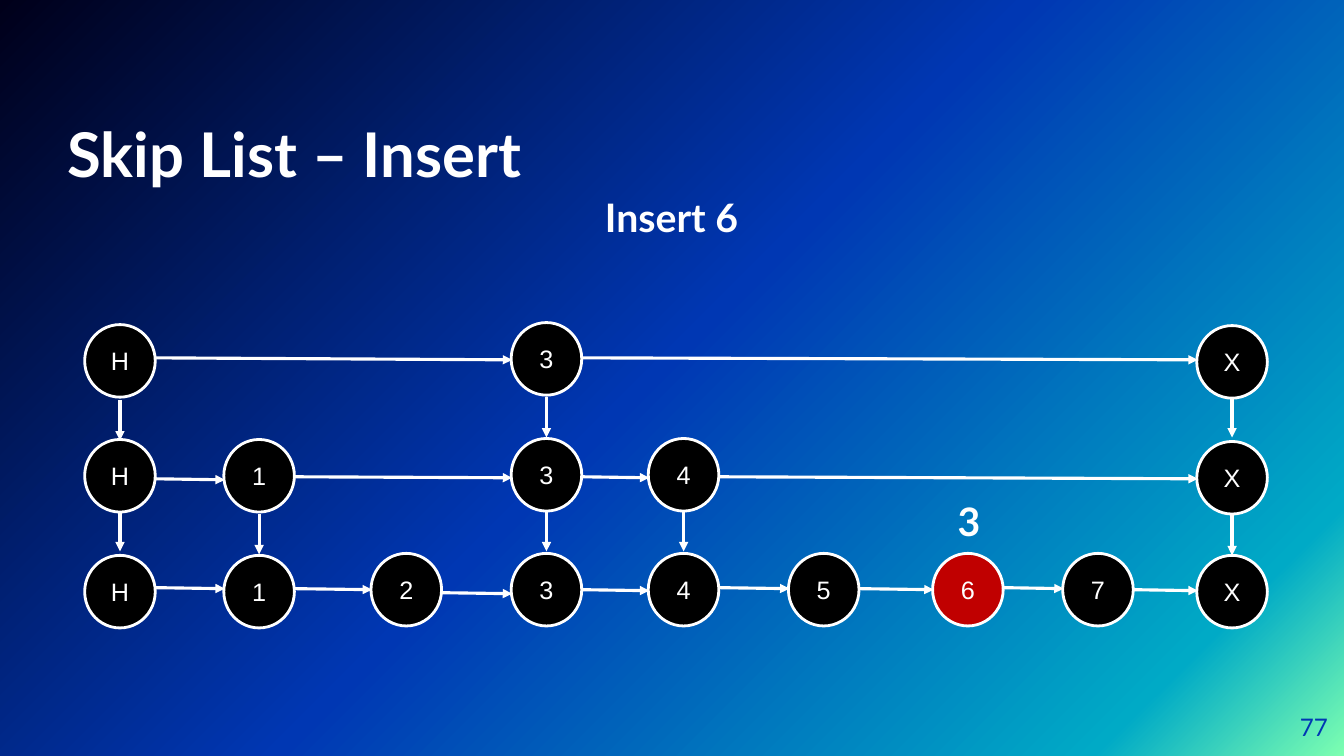
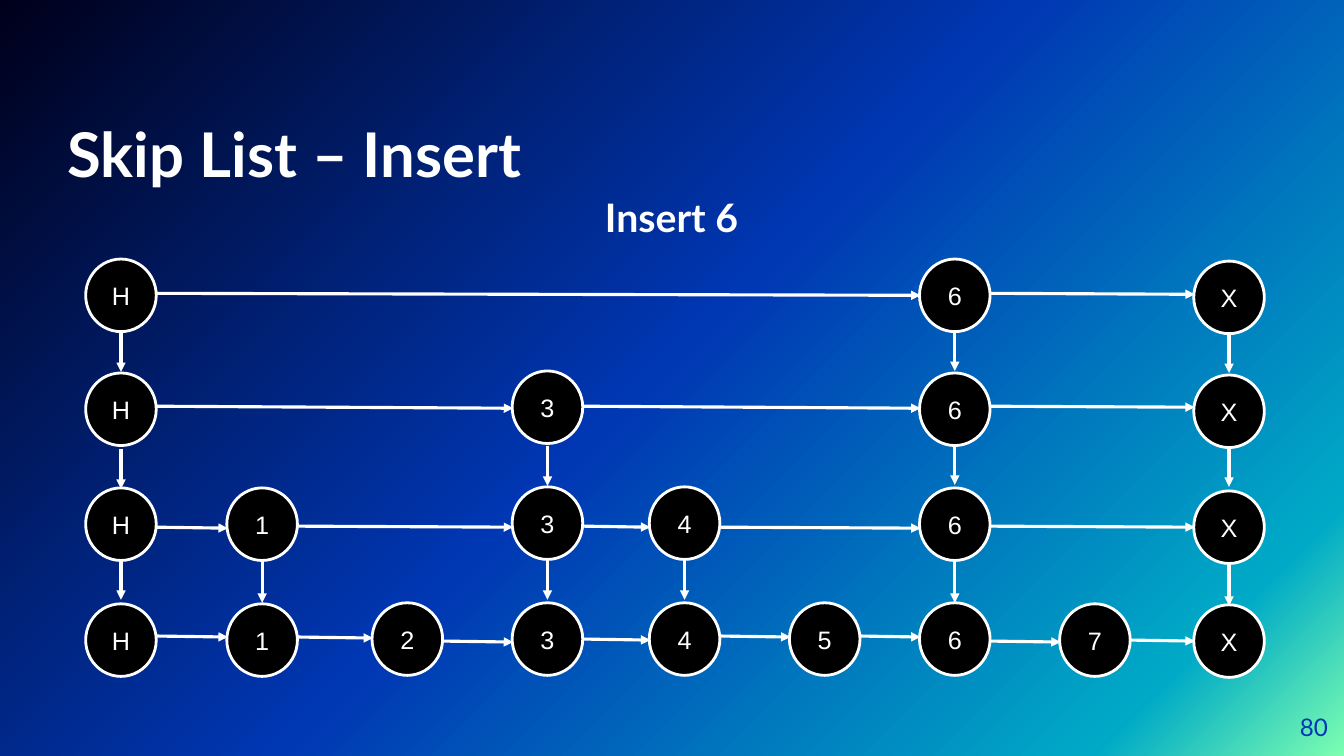
from dataclasses import dataclass

import pptx
import pptx.dml.color
import pptx.enum.shapes
import pptx.enum.text
import pptx.oxml
import pptx.oxml.ns
import pptx.presentation
import pptx.slide
import pptx.util

Inches = pptx.util.Inches
RGBColor = pptx.dml.color.RGBColor
Align = pptx.enum.text.PP_ALIGN
Anchor = pptx.enum.text.MSO_ANCHOR

# Shared style
WHITE = RGBColor(0xFF, 0xFF, 0xFF)
BLACK = RGBColor(0x00, 0x00, 0x00)
RED = RGBColor(0xC0, 0x00, 0x00)
BLUE = RGBColor(0x00, 0x37, 0xB3)
BACKGROUND_STOPS = (
    (0, RGBColor(0x7D, 0xFF, 0xB1)),
    (12, RGBColor(0x00, 0xAA, 0xC6)),
    (51, BLUE),
    (100, RGBColor(0x00, 0x00, 0x1A)),
)
BACKGROUND_ANGLE = 225
HEADING_FONT = "Lato"
NODE_FONT = "Arial"
NODE_WIDTH, NODE_HEIGHT = 0.7, 0.72
DROP_LENGTH = 0.4
ARROW_OVERLAP = 0.01


@dataclass(frozen=True)
class Tower:
    """One key of the skip list; its levels run from the bottom up."""
    label: str
    left: float
    tops: tuple[float, ...]
    exits: tuple[float, ...] = ()  # heights where the arrows to the right start
    drops: tuple[float, ...] = ()  # heights where the arrows down start
    fill: RGBColor = BLACK


@dataclass(frozen=True)
class Label:
    text: str
    left: float
    top: float
    width: float
    height: float
    size: float
    color: RGBColor = WHITE
    bold: bool = True
    align: Align = Align.CENTER
    anchor: Anchor = Anchor.TOP
    inset: bool = True


@dataclass(frozen=True)
class SkipListSlide:
    number: str
    towers: tuple[Tower, ...]
    extra_labels: tuple[Label, ...] = ()


TITLE = Label("Skip List – Insert", 0.67, 0.63, 8.79, 1.25, 44,
              align=Align.LEFT, anchor=Anchor.BOTTOM, inset=False)
OPERATION = Label("Insert 6", 4.96, 1.87, 3.4, 0.57, 28)

SLIDES = (
    SkipListSlide("77", (
        Tower("H", 0.84, (5.51, 4.36, 3.22), (5.83, 4.75, 3.55), (5.07, 3.97)),
        Tower("1", 2.22, (5.51, 4.36), (5.84, 4.73), (5.1,)),
        Tower("2", 3.68, (5.49,), (5.88,)),
        Tower("3", 5.07, (5.49, 4.35, 3.2), (5.85, 4.73, 3.55), (5.07, 3.94)),
        Tower("4", 6.43, (5.49, 4.35), (5.83, 4.73), (5.07,)),
        Tower("5", 7.82, (5.49,), (5.84,)),
        Tower("6", 9.25, (5.49,), (5.83,), fill=RED),
        Tower("7", 10.54, (5.49,), (5.85,)),
        Tower("X", 11.87, (5.51, 4.38, 3.23), drops=(5.11, 3.94)),
    ), (Label("3", 7.7, 4.88, 3.82, 0.57, 28),)),
    SkipListSlide("80", (
        Tower("H", 0.85, (5.99, 4.84, 3.7, 2.57), (6.31, 5.23, 4.03, 2.91),
              (5.55, 4.45, 3.29)),
        Tower("1", 2.25, (5.99, 4.84), (6.32, 5.22), (5.58,)),
        Tower("2", 3.69, (5.98,), (6.36,)),
        Tower("3", 5.08, (5.98, 4.83, 3.68), (6.34, 5.22, 4.03), (5.55, 4.42)),
        Tower("4", 6.44, (5.98, 4.83), (6.31, 5.23), (5.55,)),
        Tower("5", 7.83, (5.98,), (6.31,)),
        Tower("6", 9.12, (5.98, 4.84, 3.7, 2.57), (6.36, 5.22, 4.03, 2.91),
              (5.58, 4.41, 3.28)),
        Tower("7", 10.51, (5.99,), (6.35,)),
        Tower("X", 11.84, (6, 4.87, 3.72, 2.59), drops=(5.61, 4.43, 3.3)),
    )),
)


def set_background(presentation: pptx.presentation.Presentation) -> None:
    """Give the master the gradient that every slide inherits."""
    master = presentation.slide_master
    master.background.fill.gradient()
    gradient = master.element.xpath("p:cSld/p:bg/p:bgPr/a:gradFill")[0]
    for child in list(gradient):
        gradient.remove(child)
    stops = "".join(
        f'<a:gs pos="{position * 1000}"><a:srgbClr val="{color}"/></a:gs>'
        for position, color in BACKGROUND_STOPS)
    namespace = pptx.oxml.ns.nsdecls("a")
    gradient.append(pptx.oxml.parse_xml(f"<a:gsLst {namespace}>{stops}</a:gsLst>"))
    gradient.append(pptx.oxml.parse_xml(
        f'<a:lin {namespace} ang="{BACKGROUND_ANGLE * 60000}" scaled="0"/>'))


def write_text(text_frame, text: str, font_name: str, size: float,
               color: RGBColor, bold: bool, align: Align) -> None:
    text_frame.text = text
    paragraph = text_frame.paragraphs[0]
    paragraph.alignment = align
    font = paragraph.runs[0].font
    font.name = font_name
    font.size = pptx.util.Pt(size)
    font.bold = bold
    font.color.rgb = color


def add_label(slide: pptx.slide.Slide, label: Label) -> None:
    shape = slide.shapes.add_textbox(Inches(label.left), Inches(label.top),
                                     Inches(label.width), Inches(label.height))
    text_frame = shape.text_frame
    text_frame.word_wrap = True
    text_frame.vertical_anchor = label.anchor
    if not label.inset:
        text_frame.margin_left = text_frame.margin_right = 0
        text_frame.margin_top = text_frame.margin_bottom = 0
    write_text(text_frame, label.text, HEADING_FONT, label.size, label.color,
               label.bold, label.align)


def add_node(slide: pptx.slide.Slide, tower: Tower, top: float) -> None:
    shape = slide.shapes.add_shape(
        pptx.enum.shapes.MSO_SHAPE.OVAL, Inches(tower.left), Inches(top),
        Inches(NODE_WIDTH), Inches(NODE_HEIGHT))
    shape.shadow.inherit = False
    shape.fill.solid()
    shape.fill.fore_color.rgb = tower.fill
    shape.line.color.rgb = WHITE
    shape.line.width = pptx.util.Pt(2)
    shape.text_frame.vertical_anchor = Anchor.MIDDLE
    write_text(shape.text_frame, tower.label, NODE_FONT, 18, WHITE, False, Align.CENTER)


def add_arrow(slide: pptx.slide.Slide, start_x: float, start_y: float,
              end_x: float, end_y: float) -> None:
    connector = slide.shapes.add_connector(
        pptx.enum.shapes.MSO_CONNECTOR.STRAIGHT, Inches(start_x), Inches(start_y),
        Inches(end_x), Inches(end_y))
    connector.line.color.rgb = WHITE
    connector.line.width = pptx.util.Pt(2.25)
    namespace = pptx.oxml.ns.nsdecls("a")
    connector.line._get_or_add_ln().append(
        pptx.oxml.parse_xml(f'<a:tailEnd {namespace} type="triangle"/>'))
    connector.element.spPr.append(pptx.oxml.parse_xml(f"<a:effectLst {namespace}/>"))


def add_skip_list(slide: pptx.slide.Slide, towers: tuple[Tower, ...]) -> None:
    for tower in towers:
        for top in tower.tops:
            add_node(slide, tower, top)

    for index, tower in enumerate(towers):
        # Down to the next level of the same key
        center = tower.left + NODE_WIDTH / 2
        for start_y in tower.drops:
            add_arrow(slide, center, start_y, center, start_y + DROP_LENGTH)
        # Right to the next key that reaches the same level
        for level, start_y in enumerate(tower.exits):
            target = next(other for other in towers[index + 1:]
                          if len(other.tops) > level)
            start_x = tower.left + NODE_WIDTH
            end_x = target.left + ARROW_OVERLAP
            slope = 0.02 if end_x - start_x > 3 else 0.01
            add_arrow(slide, start_x, start_y, end_x, start_y + slope)


def add_skip_list_slide(presentation: pptx.presentation.Presentation,
                        content: SkipListSlide) -> None:
    slide = presentation.slides.add_slide(presentation.slide_layouts[6])
    page_number = Label(content.number, 12.37, 6.93, 0.8, 0.57, 17.3, BLUE, False,
                        Align.RIGHT, Anchor.MIDDLE, False)
    for label in (TITLE, page_number, OPERATION, *content.extra_labels):
        add_label(slide, label)
    add_skip_list(slide, content.towers)


def main() -> None:
    presentation = pptx.Presentation()
    presentation.slide_width = Inches(13.33)
    presentation.slide_height = Inches(7.5)
    set_background(presentation)
    for content in SLIDES:
        add_skip_list_slide(presentation, content)
    presentation.save("out.pptx")


if __name__ == "__main__":
    main()
